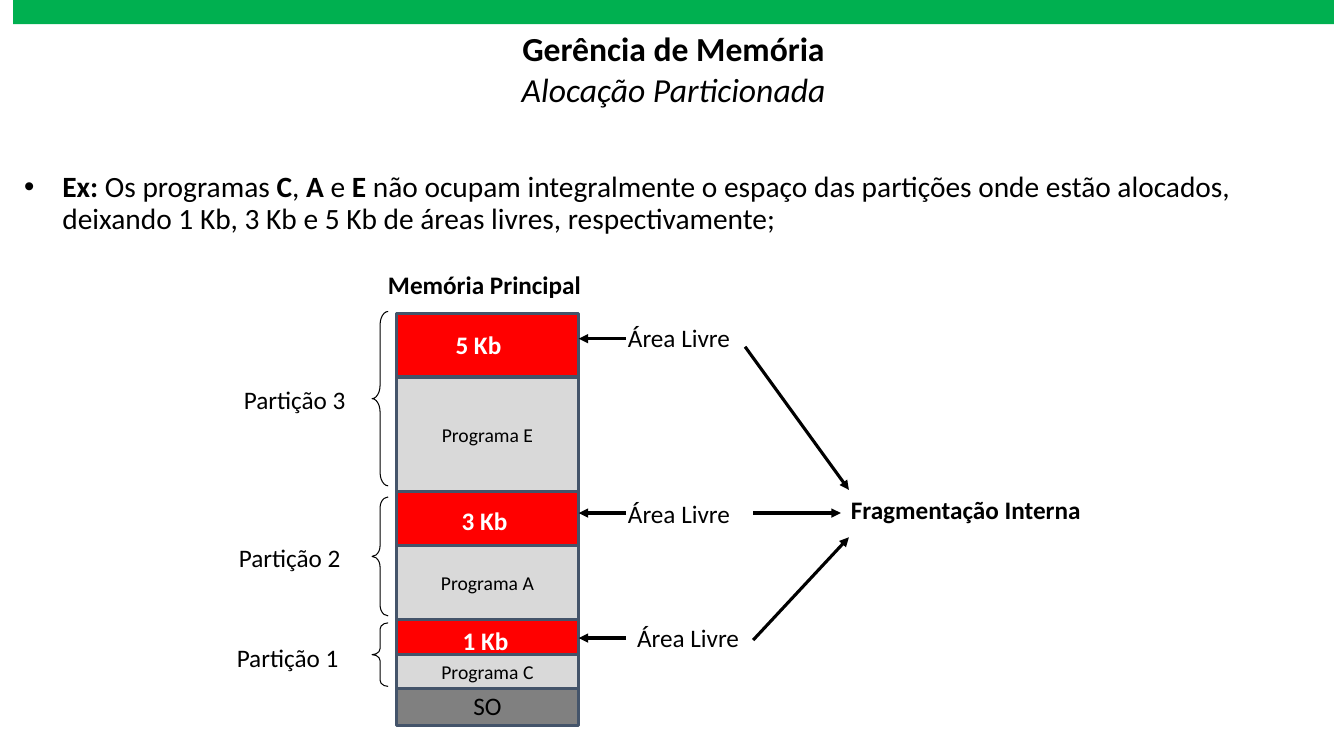
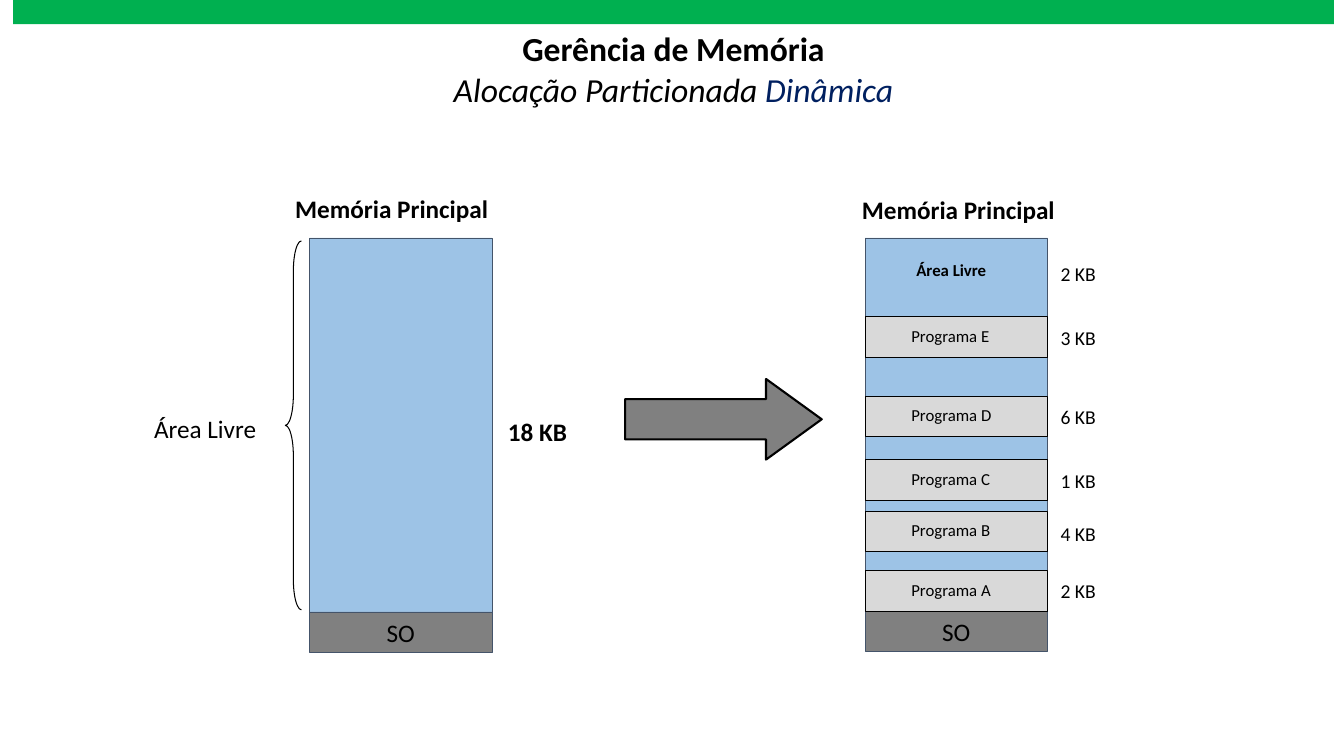
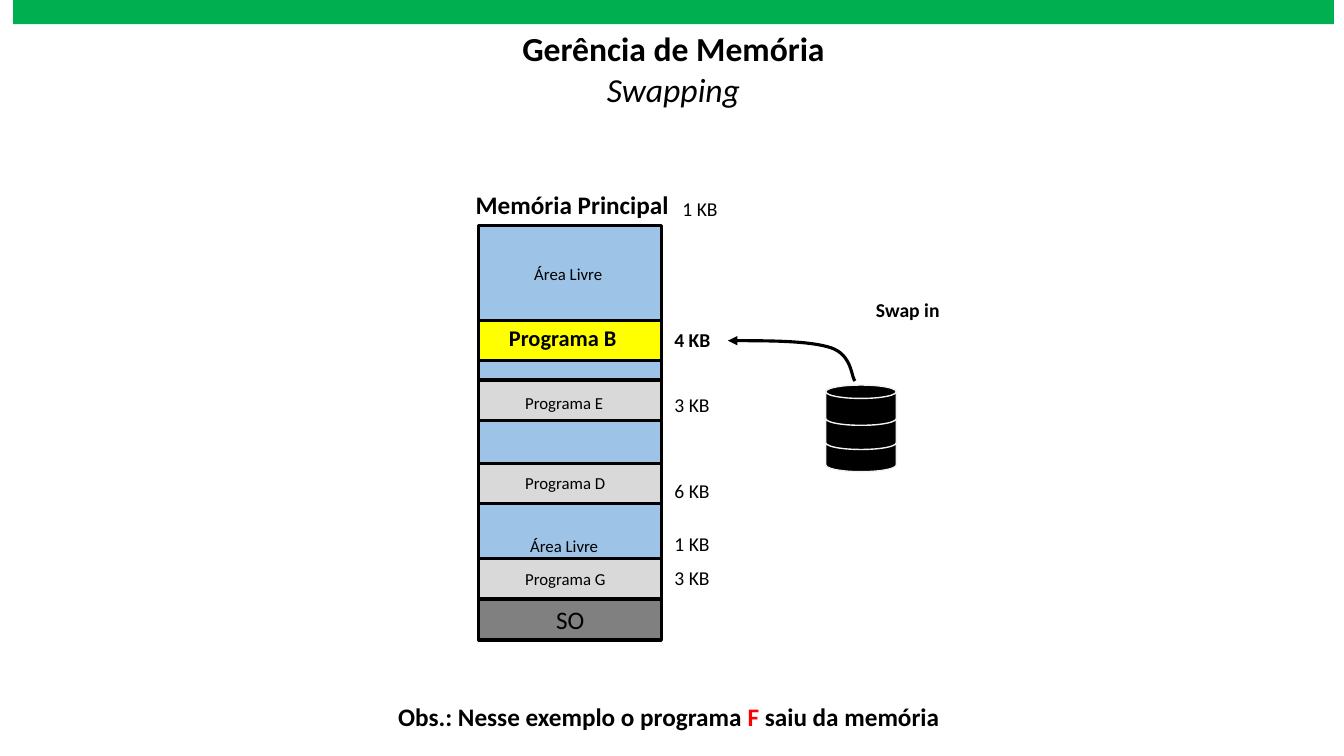
from lxml import etree
from pptx import Presentation
from pptx.dml.color import RGBColor
from pptx.enum.shapes import MSO_CONNECTOR, MSO_SHAPE
from pptx.enum.text import MSO_ANCHOR, MSO_AUTO_SIZE, PP_ALIGN
from pptx.oxml.ns import qn
from pptx.util import Pt

PX = 9144  # 100 px to the inch
FONT = "Calibri"
BLACK, WHITE, RED, YELLOW = "000000", "FFFFFF", "FF0000", "FFFF00"
GREEN, NAVY, SLATE = "00B050", "002060", "44546A"
FREE, USED, SYSTEM, DISK_EDGE = "9DC3E6", "D9D9D9", "808080", "F2F2F2"

RECT, BRACE = MSO_SHAPE.RECTANGLE, MSO_SHAPE.LEFT_BRACE
BLOCK_ARROW, DISK = MSO_SHAPE.RIGHT_ARROW, MSO_SHAPE.FLOWCHART_MAGNETIC_DISK
STRAIGHT = MSO_CONNECTOR.STRAIGHT
CENTER, LEFT = PP_ALIGN.CENTER, PP_ALIGN.LEFT
TOP, MIDDLE = MSO_ANCHOR.TOP, MSO_ANCHOR.MIDDLE
GROW = MSO_AUTO_SIZE.SHAPE_TO_FIT_TEXT
rgb = RGBColor.from_string


def draw(slide, kind, at, text="", size=18, bold=False, color=BLACK,
         fill=None, line=None, weight=2.25):
    """Add a preset shape with centred text, or a text label if kind is None."""
    place = [value * PX for value in at]
    if kind is None:
        item = slide.shapes.add_textbox(*place)
        item.text_frame.word_wrap = False
        item.text_frame.auto_size = GROW
    else:
        item = slide.shapes.add_shape(kind, *place)
        item.shadow.inherit = False
        item.text_frame.vertical_anchor = MIDDLE
        if fill:
            item.fill.solid()
            item.fill.fore_color.rgb = rgb(fill)
        else:
            item.fill.background()
        if line:
            item.line.color.rgb = rgb(line)
            item.line.width = Pt(weight)
        else:
            item.line.fill.background()
    if text:
        item.text_frame.text = text
        paragraph = item.text_frame.paragraphs[0]
        paragraph.alignment = LEFT if kind is None else CENTER
        font = paragraph.runs[0].font
        font.name, font.size, font.bold = FONT, Pt(size), bold
        font.color.rgb = rgb(color)
    return item


def style_arrow(path_line):
    """Make a black line with a triangle at its end and no shadow."""
    path_line.line.color.rgb = rgb(BLACK)
    path_line.line.width = Pt(2.25)
    properties = path_line._element.spPr
    etree.SubElement(properties.find(qn("a:ln")), qn("a:tailEnd"), type="triangle")
    etree.SubElement(properties, qn("a:effectLst"))


prs = Presentation()
prs.slide_width, prs.slide_height = 1333 * PX, 750 * PX

# Title and band on every slide
subtitles = [
    [("Alocação Particionada", BLACK)],
    [("Alocação Particionada ", BLACK), ("Dinâmica", NAVY)],
    [("Swapping", BLACK)],
]
slides = []
for subtitle in subtitles:
    slide = prs.slides.add_slide(prs.slide_layouts[5])
    title = slide.shapes.title
    title.left, title.top, title.width, title.height = (
        value * PX for value in (286, 23, 764, 91))
    title.text_frame.vertical_anchor = TOP
    rows = [[("Gerência de Memória", BLACK)], subtitle]
    for number, row in enumerate(rows):
        paragraph = (title.text_frame.add_paragraph() if number
                     else title.text_frame.paragraphs[0])
        paragraph.alignment = CENTER
        for words, color in row:
            run = paragraph.add_run()
            run.text = words
            run.font.name, run.font.size = FONT, Pt(24)
            run.font.bold, run.font.italic = number == 0, number == 1
            run.font.color.rgb = rgb(color)
    draw(slide, RECT, (13, 0, 1310, 24), fill=GREEN)
    slides.append(slide)
fixed, dynamic, swapping = slides

# Slide 1: internal fragmentation in fixed partitions
example = draw(fixed, None, (14, 166, 1311, 74))
example.text_frame.word_wrap = True
paragraph = example.text_frame.paragraphs[0]
bullet = paragraph._p.get_or_add_pPr()
bullet.set("marL", str(38 * PX))
bullet.set("indent", str(-38 * PX))
etree.SubElement(bullet, qn("a:buFont"), typeface="Arial")
etree.SubElement(bullet, qn("a:buChar"), char="•")
paragraph.line_spacing = 0.9
sentence = ["Ex:", " Os programas ", "C", ", ", "A", " e ", "E",
            " não ocupam integralmente o espaço das partições onde estão "
            "alocados, deixando 1 Kb, 3 Kb e 5 Kb de áreas livres, "
            "respectivamente;"]
for number, words in enumerate(sentence):
    run = paragraph.add_run()
    run.text = words
    run.font.name, run.font.size = FONT, Pt(21)
    run.font.bold = number % 2 == 0
    run.font.color.rgb = rgb(BLACK)

draw(fixed, None, (375, 262, 216, 40), "Memória Principal", bold=True)
for top, height in [(604, 73), (471, 133), (311, 163)]:
    draw(fixed, RECT, (393, top, 181, height), fill=RED, line=SLATE)
for name, top, height, size, fill in [
    ("SO", 680, 40, 18, SYSTEM),
    ("Programa E", 374, 114, 14, USED),
    ("Programa C", 649, 34, 14, USED),
    ("Programa A", 541, 74, 14, USED),
]:
    draw(fixed, RECT, (393, top, 181, height), name, size, fill=fill, line=SLATE)

for top, height, curl, name, name_left, name_top in [
    (309, 173, 0.84, "Partição 3", 232, 376),
    (493, 118, 0.67, "Partição 2", 227, 533),
    (618, 63, 0.38, "Partição 1", 225, 632),
]:
    brace = draw(fixed, BRACE, (369, top, 16, height), line=BLACK, weight=0.75)
    brace.adjustments[0] = curl
    draw(fixed, None, (name_left, name_top, 122, 40), name)

for left, top in [(613, 315), (613, 489), (622, 612)]:
    draw(fixed, None, (left, top, 123, 40), "Área Livre")
draw(fixed, None, (834, 486, 250, 40), "Fragmentação Interna", bold=True)
for size, left, top in [("5 Kb", 442, 322), ("3 Kb", 448, 496), ("1 Kb", 449, 615)]:
    draw(fixed, None, (left, top, 66, 40), size, bold=True, color=WHITE)

arrows = [(621, y, 574, y) for y in (336, 509, 633)]
arrows += [(747, 635, 842, 533), (747, 509, 834, 509), (739, 344, 842, 486)]
for ends in arrows:
    style_arrow(fixed.shapes.add_connector(STRAIGHT, *(value * PX for value in ends)))

# Slide 2: dynamic partitions, before and after loading
for left, system_top, heading_left, heading_top in [
    (307, 607, 283, 187), (858, 606, 845, 188),
]:
    draw(dynamic, RECT, (left, 236, 181, 374), fill=FREE, line=SLATE, weight=0.25)
    draw(dynamic, RECT, (left, system_top, 181, 40), "SO",
         fill=SYSTEM, line=SLATE, weight=0.25)
    draw(dynamic, None, (heading_left, heading_top, 216, 40),
         "Memória Principal", bold=True)

brace = draw(dynamic, BRACE, (283, 239, 16, 366), line=BLACK, weight=0.75)
brace.adjustments[0] = 1.89
draw(dynamic, None, (143, 405, 123, 40), "Área Livre")
draw(dynamic, None, (494, 408, 80, 40), "18 KB", bold=True)
load_arrow = draw(dynamic, BLOCK_ARROW, (620, 376, 195, 80),
                  fill=SYSTEM, line=BLACK, weight=1.5)
load_arrow.adjustments[1] = 0.69

draw(dynamic, None, (899, 253, 90, 30), "Área Livre", 12, bold=True)
draw(dynamic, None, (1042, 255, 55, 34), "2 KB", 14)
for name, top, size, size_top in [
    ("Programa E", 314, "3 KB", 318),
    ("Programa D", 393, "6 KB", 397),
    ("Programa C", 456, "1 KB", 460),
    ("Programa B", 507, "4 KB", 513),
    ("Programa A", 566, "2 KB", 569),
]:
    draw(dynamic, RECT, (858, top, 181, 40), fill=USED, line=BLACK, weight=0.25)
    draw(dynamic, None, (894, top + 4, 100, 30), name, 12)
    draw(dynamic, None, (1042, size_top, 55, 34), size, 14)

# Slide 3: program B swapped in
draw(swapping, None, (462, 183, 216, 40), "Memória Principal", bold=True)
draw(swapping, None, (667, 190, 55, 34), "1 KB", 14)
draw(swapping, None, (859, 291, 84, 34), "Swap in", 14, bold=True)
draw(swapping, RECT, (475, 224, 181, 374), fill=FREE, line=BLACK)
draw(swapping, RECT, (475, 595, 181, 40), "SO", fill=SYSTEM, line=BLACK)
for name, top, name_top, size, size_top in [
    ("Programa E", 377, 385, "3 KB", 385),
    ("Programa D", 460, 464, "6 KB", 470),
    ("Programa G", 554, 559, "3 KB", 557),
]:
    draw(swapping, RECT, (475, top, 181, 40), fill=USED, line=BLACK)
    draw(swapping, None, (511, name_top, 101, 30), name, 12)
    draw(swapping, None, (659, size_top, 55, 34), size, 14)
for left, top in [(520, 257), (516, 527)]:
    draw(swapping, None, (left, top, 88, 30), "Área Livre", 12)
draw(swapping, None, (659, 523, 55, 34), "1 KB", 14)

draw(swapping, RECT, (475, 318, 181, 40), fill=YELLOW, line=BLACK)
draw(swapping, None, (495, 317, 127, 37), "Programa B", 16, bold=True)
draw(swapping, None, (659, 320, 56, 34), "4 KB", 14, bold=True)

# Swap path: two Bézier curves from the disk to the memory
curves = [
    [(848, 378), (844, 373), (845, 352), (824, 345)],
    [(824, 345), (803, 338), (762, 338), (722, 338)],
]
STEPS = 16
points = []
for curve in curves:
    for step in range(1, STEPS + 1):
        t = step / STEPS
        weights = ((1 - t) ** 3, 3 * t * (1 - t) ** 2, 3 * t ** 2 * (1 - t), t ** 3)
        points.append(tuple(
            round(PX * sum(w * point[axis] for w, point in zip(weights, curve)))
            for axis in (0, 1)))
start_x, start_y = curves[0][0]
builder = swapping.shapes.build_freeform(start_x * PX, start_y * PX)
builder.add_line_segments(points, close=False)
swap_path = builder.convert_to_shape()
swap_path.fill.background()
style_arrow(swap_path)

for top in (428, 406, 382):
    draw(swapping, DISK, (819, top, 70, 40), fill=BLACK, line=DISK_EDGE, weight=1)

note = draw(swapping, None, (385, 691, 561, 40),
            "Obs.: Nesse exemplo o programa ", bold=True)
for words, color in [("F", RED), (" saiu da memória", BLACK)]:
    run = note.text_frame.paragraphs[0].add_run()
    run.text = words
    run.font.name, run.font.size, run.font.bold = FONT, Pt(18), True
    run.font.color.rgb = rgb(color)

prs.save("out.pptx")
